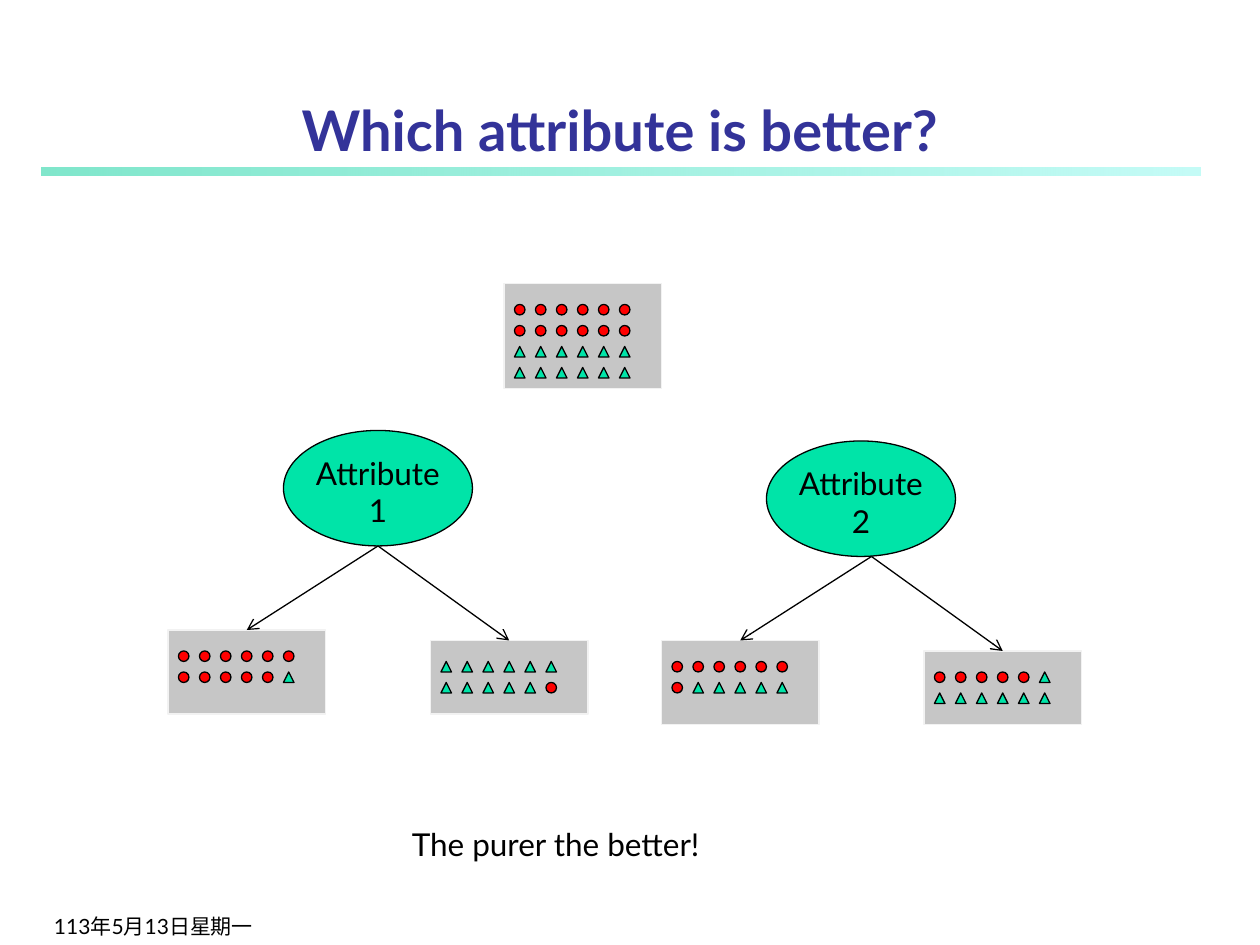
from dataclasses import dataclass

from lxml.etree import SubElement
from pptx import Presentation
from pptx.dml.color import RGBColor
from pptx.enum.shapes import MSO_CONNECTOR as Connector, MSO_SHAPE as Preset
from pptx.enum.text import MSO_ANCHOR as Anchor, PP_ALIGN as Align
from pptx.oxml.ns import qn
from pptx.util import Inches, Pt


@dataclass(frozen=True)
class Theme:
    font: str = "Lato"
    title: str = "333399"
    ink: str = "000000"
    red: str = "FF0000"
    green: str = "00E4A8"
    box: str = "C6C6C6"
    box_line: str = "F2F2F2"
    bar: tuple = (("00CE98", 50), ("8FF9EF", 52))  # colour, opacity in percent
    title_size: int = 32
    text_size: int = 18
    date_size: int = 12
    line_width: float = 0.75


THEME = Theme()


# Grid positions are counted in twelfths of an inch
@dataclass(frozen=True)
class SampleBox:
    left: int
    top: int
    height: int
    rows: tuple  # one letter per sample: R = red circle, G = green triangle
    width: int = 15


@dataclass(frozen=True)
class Split:
    label: str
    left: int
    top: int
    arrow_start: tuple
    children: tuple
    width: int = 18
    height: int = 11


ROOT = SampleBox(48, 27, 10, ("RRRRRR", "RRRRRR", "GGGGGG", "GGGGGG"))
SPLITS = (
    Split("Attribute\n1", 27, 41, (36, 52), (
        SampleBox(16, 60, 8, ("RRRRRR", "RRRRRG")),
        SampleBox(41, 61, 7, ("GGGGGG", "GGGGGR")))),
    Split("Attribute\n2", 73, 42, (83, 53), (
        SampleBox(63, 61, 8, ("RRRRRR", "RGGGGG")),
        SampleBox(88, 62, 7, ("RRRRRG", "GGGGGG")))),
)
SAMPLES = {"R": (Preset.OVAL, THEME.red), "G": (Preset.ISOSCELES_TRIANGLE, THEME.green)}


def grid(units: float) -> Inches:
    return Inches(units / 12)


def color(value: str) -> RGBColor:
    return RGBColor.from_string(value)


def format_text(text_frame, size: int, fill: str = THEME.ink,
                align=Align.LEFT, bold: bool = False) -> None:
    for paragraph in text_frame.paragraphs:
        paragraph.alignment = align
        for run in paragraph.runs:
            font = run.font
            font.name, font.size, font.bold = THEME.font, Pt(size), bold
            font.color.rgb = color(fill)


def add_preset(slide, preset, left: float, top: float, width: float, height: float,
               fill: str, line: str = THEME.ink):
    shape = slide.shapes.add_shape(preset, grid(left), grid(top), grid(width), grid(height))
    shape.shadow.inherit = False
    shape.fill.solid()
    shape.fill.fore_color.rgb = color(fill)
    shape.line.color.rgb = color(line)
    shape.line.width = Pt(THEME.line_width)
    return shape


def add_sample_box(slide, box: SampleBox) -> None:
    add_preset(slide, Preset.RECTANGLE, box.left, box.top, box.width, box.height,
               THEME.box, THEME.box_line)
    for row, samples in enumerate(box.rows):
        for column, sample in enumerate(samples):
            preset, fill = SAMPLES[sample]
            add_preset(slide, preset, box.left + 1 + 2 * column, box.top + 2 + 2 * row,
                       1, 1, fill)


def add_arrow(slide, start: tuple, end: tuple) -> None:
    arrow = slide.shapes.add_connector(Connector.STRAIGHT, *map(grid, start + end))
    arrow.line.color.rgb = color(THEME.ink)
    arrow.line.width = Pt(THEME.line_width)
    SubElement(arrow.line._get_or_add_ln(), qn("a:tailEnd"), type="arrow")
    SubElement(arrow._element.spPr, qn("a:effectLst"))


def add_split(slide, split: Split) -> None:
    oval = add_preset(slide, Preset.OVAL, split.left, split.top, split.width, split.height,
                      THEME.green)
    text_frame = oval.text_frame
    text_frame.text = split.label
    text_frame.word_wrap = False
    text_frame.vertical_anchor = Anchor.TOP
    format_text(text_frame, THEME.text_size, align=Align.CENTER)
    for box in split.children:
        add_sample_box(slide, box)
        add_arrow(slide, split.arrow_start, (box.left + box.width / 2, box.top))


def add_bar(slide) -> None:
    bar = slide.shapes.add_shape(Preset.RECTANGLE, Inches(0.33), Inches(1.33),
                                 Inches(9.2), Inches(0.06))
    bar.shadow.inherit = False
    bar.line.fill.background()
    bar.fill.gradient()
    bar.fill.gradient_angle = 0
    for stop, position, (value, opacity) in zip(bar.fill.gradient_stops, (0, 1), THEME.bar):
        stop.position = position
        stop.color.rgb = color(value)
        rgb = stop.color._color._xClr
        SubElement(rgb, qn("a:alpha"), val=str(opacity * 1000))


def add_title(slide, text: str) -> None:
    title = slide.shapes.title
    title.left, title.top = Inches(0.42), Inches(0.17)
    title.width, title.height = Inches(9), Inches(1.17)
    title.text_frame.text = text
    title.text_frame.vertical_anchor = Anchor.BOTTOM
    format_text(title.text_frame, THEME.title_size, THEME.title, Align.CENTER, bold=True)


def add_label(slide, text: str, left: float, top: float, width: float, height: float,
              size: int, anchor=Anchor.TOP) -> None:
    label = slide.shapes.add_textbox(Inches(left), Inches(top), Inches(width), Inches(height))
    label.text_frame.text = text
    label.text_frame.word_wrap = True
    label.text_frame.vertical_anchor = anchor
    format_text(label.text_frame, size)


def main() -> None:
    presentation = Presentation()
    presentation.slide_width, presentation.slide_height = Inches(10), Inches(7.5)
    slide = presentation.slides.add_slide(presentation.slide_layouts[5])

    # Heading and date
    add_bar(slide)
    add_title(slide, "Which attribute is better?")
    add_label(slide, "113年5月13日星期一", 0.33, 7.08, 2.08, 0.42, THEME.date_size, Anchor.BOTTOM)

    # All samples, then the two ways to split them
    add_sample_box(slide, ROOT)
    for split in SPLITS:
        add_split(slide, split)

    # Conclusion
    add_label(slide, "The purer the better!", 3.17, 6.5, 2.56, 0.4, THEME.text_size)
    presentation.save("out.pptx")


if __name__ == "__main__":
    main()
